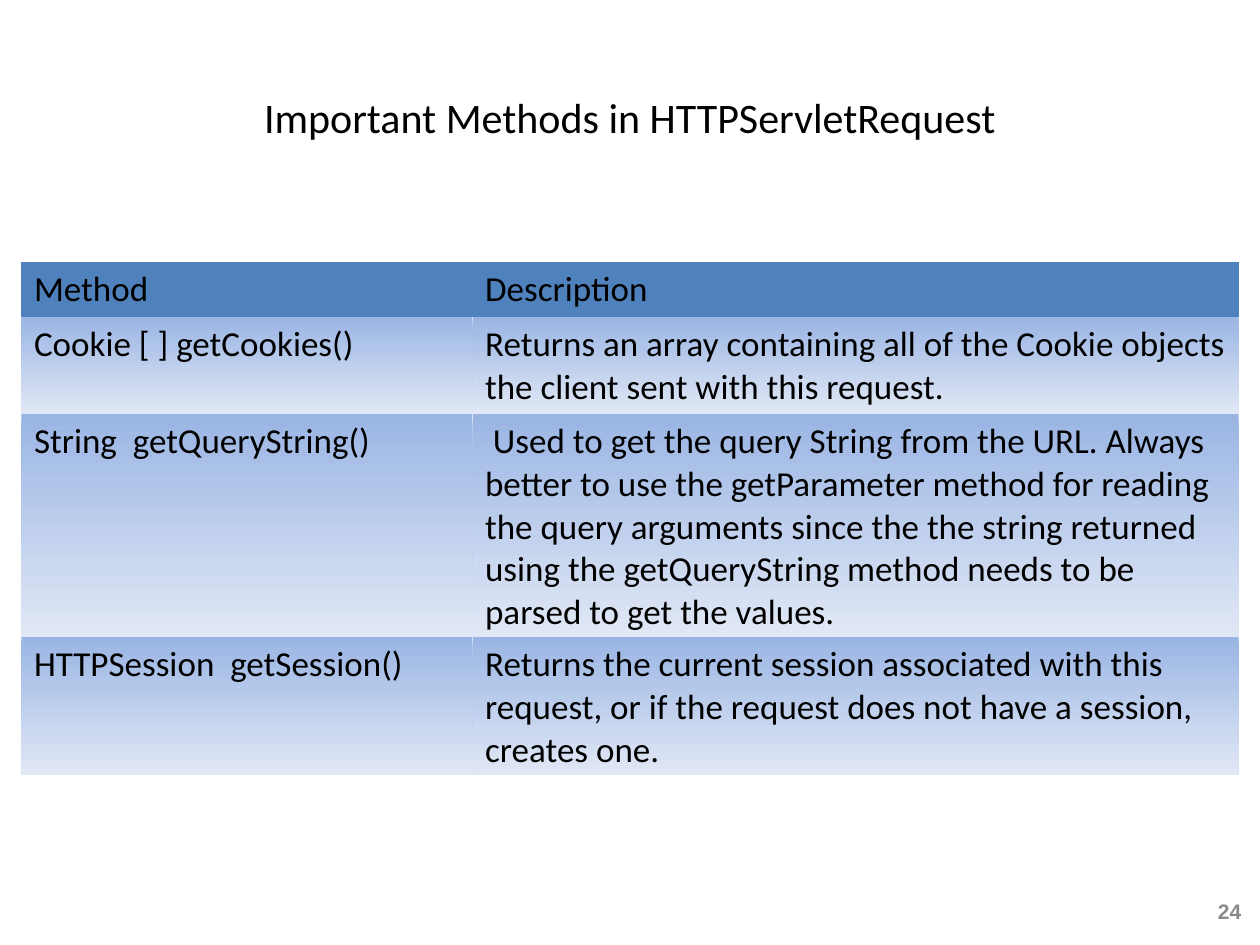
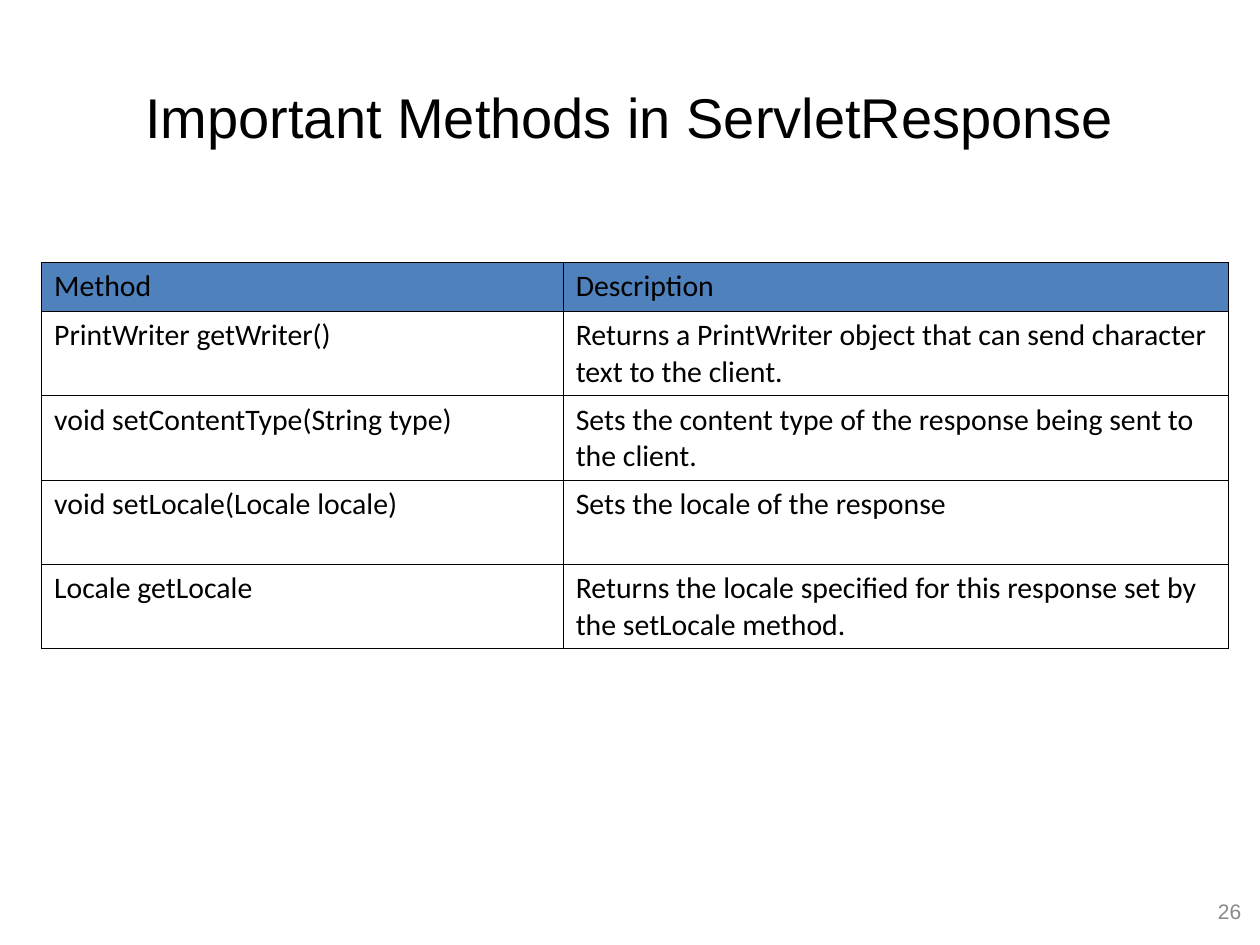
from lxml import etree
from pptx import Presentation
from pptx import util as u
from pptx.dml.color import RGBColor
from pptx.enum import text
from pptx.oxml import ns

BLACK = RGBColor(0x00, 0x00, 0x00)
GREY = RGBColor(0x89, 0x89, 0x89)
HEADER_BLUE = RGBColor(0x4F, 0x81, 0xBD)
ROW_TOP = RGBColor(0x9A, 0xB5, 0xE4)
ROW_BOTTOM = RGBColor(0xE1, 0xE8, 0xF5)

HEADER = ("Method", "Description")
REQUEST_METHODS = [
    ("Cookie [ ] getCookies()",
     "Returns an array containing all of the Cookie objects the client sent with this request."),
    ("String  getQueryString()",
     " Used to get the query String from the URL. Always better to use the getParameter method "
     "for reading the query arguments since the the string returned using the getQueryString "
     "method needs to be parsed to get the values."),
    ("HTTPSession  getSession()",
     "Returns the current session associated with this request, or if the request does not "
     "have a session, creates one."),
]
RESPONSE_METHODS = [
    ("PrintWriter getWriter()",
     "Returns a PrintWriter object that can send character text to the client."),
    ("void setContentType(String type)",
     "Sets the content type of the response being sent to the client."),
    ("void setLocale(Locale locale)", "Sets the locale of the response"),
    ("Locale getLocale",
     "Returns the locale specified for this response set by the setLocale method."),
]


class Deck:
    """Holds the shared style and the current slide."""

    def __init__(self):
        self.presentation = Presentation()
        self.presentation.slide_width = u.Inches(10)
        self.presentation.slide_height = u.Inches(7.5)
        self.slide = None

    def add_text(self, frame, words, size, font="Calibri", color=BLACK, bold=False, align=None):
        frame.word_wrap = True
        paragraph = frame.paragraphs[0]
        paragraph.alignment = align
        run = paragraph.add_run()
        run.text = words
        run.font.size = u.Pt(size)
        run.font.name = font
        run.font.bold = bold
        run.font.color.rgb = color

    def add_slide(self, title, size, font):
        layout = self.presentation.slide_layouts[5]
        self.slide = self.presentation.slides.add_slide(layout)
        shape = self.slide.shapes.title
        shape.left, shape.top = u.Inches(0.5), u.Inches(0.3)
        shape.width, shape.height = u.Inches(9), u.Inches(1.25)
        shape.text_frame.vertical_anchor = text.MSO_ANCHOR.MIDDLE
        self.add_text(shape.text_frame, title, size, font, align=text.PP_ALIGN.CENTER)

    def add_page_number(self, number, bold=False):
        box = self.slide.shapes.add_textbox(
            u.Inches(9.46), u.Inches(7.06), u.Inches(0.49), u.Inches(0.35))
        box.text_frame.vertical_anchor = text.MSO_ANCHOR.MIDDLE
        self.add_text(box.text_frame, str(number), 12, "Arial", GREY, bold, text.PP_ALIGN.RIGHT)

    def add_method_table(self, methods, left, widths, heights, size, ruled):
        rows = [HEADER, *methods]
        table = self.slide.shapes.add_table(
            len(rows), len(HEADER), u.Inches(left), u.Inches(2.08),
            u.Inches(sum(widths)), u.Inches(sum(heights))).table
        table.first_row = table.horz_banding = False
        for column, width in zip(table.columns, widths):
            column.width = u.Inches(width)
        for row, height in zip(table.rows, heights):
            row.height = u.Inches(height)
        for row_index, row in enumerate(rows):
            for column_index, words in enumerate(row):
                cell = table.cell(row_index, column_index)
                self.add_text(cell.text_frame, words, size)
                self.fill_cell(cell, row_index == 0, ruled)
                self.border_cell(cell, ruled)

    def fill_cell(self, cell, is_header, ruled):
        if is_header:
            cell.fill.solid()
            cell.fill.fore_color.rgb = HEADER_BLUE
        elif ruled:
            cell.fill.background()
        else:
            cell.fill.gradient()
            cell.fill.gradient_angle = 270  # counter-clockwise: top to bottom
            for stop, color in zip(cell.fill.gradient_stops, (ROW_TOP, ROW_BOTTOM)):
                stop.color.rgb = color

    def border_cell(self, cell, ruled):
        properties = cell._tc.get_or_add_tcPr()
        for index, side in enumerate(("lnL", "lnR", "lnT", "lnB")):
            line = etree.Element(ns.qn(f"a:{side}"), w=str(u.Pt(0.45)))
            if ruled:
                fill = etree.SubElement(line, ns.qn("a:solidFill"))
                etree.SubElement(fill, ns.qn("a:srgbClr"), val=str(BLACK))
            else:
                etree.SubElement(line, ns.qn("a:noFill"))
            properties.insert(index, line)  # borders precede the fill


def main():
    deck = Deck()

    # Request methods
    deck.add_slide("Important Methods in HTTPServletRequest", 24, "Calibri")
    deck.add_page_number(24, bold=True)
    deck.add_method_table(REQUEST_METHODS, 0.17, (3.58, 6.08),
                          (0.43, 0.77, 1.77, 1.1), size=20, ruled=False)

    # Response methods
    deck.add_slide("Important Methods in ServletResponse", 32, "Arial")
    deck.add_page_number(26)
    deck.add_method_table(RESPONSE_METHODS, 0.33, (4.14, 5.28),
                          [0.39] + [0.67] * len(RESPONSE_METHODS), size=17, ruled=True)

    deck.presentation.save("out.pptx")


if __name__ == "__main__":
    main()
